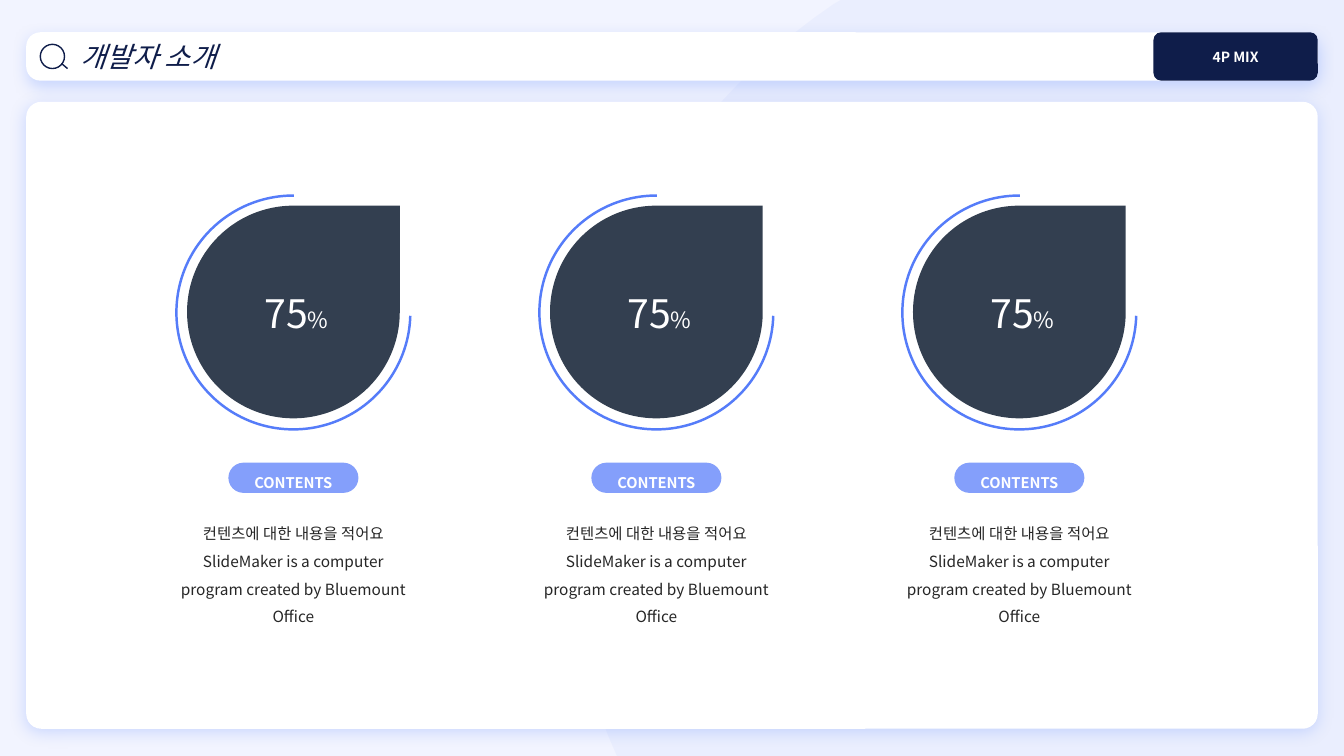
import lxml.etree
import pptx
import pptx.dml.color
import pptx.enum.shapes
import pptx.enum.text
import pptx.oxml
import pptx.oxml.ns
import pptx.util
from dataclasses import dataclass


@dataclass(frozen=True)
class Theme:
    font: str = "Noto Sans CJK KR"
    backdrop: str = "F2F4FF"
    glow: str = "8FACFC"
    navy: str = "0F1D4A"
    white: str = "FFFFFF"
    pill: str = "849FFB"
    ring: str = "557CF9"
    drop: str = "333F50"
    ink: str = "262626"
    title_size: float = 20
    badge_size: float = 10
    pill_size: float = 10.5
    body_size: float = 11
    number_size: float = 28
    percent_size: float = 16


theme = Theme()
Inches = pptx.util.Inches
Color = pptx.dml.color.RGBColor.from_string
Kind = pptx.enum.shapes.MSO_SHAPE
Align = pptx.enum.text.PP_ALIGN
Anchor = pptx.enum.text.MSO_ANCHOR
qn = pptx.oxml.ns.qn


def add_block(parent, kind, box, fill=None, line=None, width=1, adjust=()):
    block = parent.add_shape(kind, *map(Inches, box))
    block.shadow.inherit = False
    for index, value in enumerate(adjust):
        block.adjustments[index] = value
    if fill:
        block.fill.solid()
        block.fill.fore_color.rgb = Color(fill)
    else:
        block.fill.background()
    if line:
        block.line.color.rgb = Color(line)
        block.line.width = pptx.util.Pt(width)
    else:
        block.line.fill.background()
    return block


def format_text(frame, size, color, bold=False, italic=False, align=Align.CENTER,
                anchor=Anchor.MIDDLE, spacing=1.0):
    frame.word_wrap = True
    frame.vertical_anchor = anchor
    for para in frame.paragraphs:
        para.alignment = align
        para.line_spacing = spacing
        for span in para.runs:
            span.font.name = theme.font
            span.font.size = pptx.util.Pt(size)
            span.font.bold = bold
            span.font.italic = italic
            span.font.color.rgb = Color(color)
            east_asian = lxml.etree.SubElement(span.font._element, qn("a:ea"))
            east_asian.set("typeface", theme.font)


deck = pptx.Presentation()
deck.slide_width = Inches(13.33)
deck.slide_height = Inches(7.5)
page = deck.slides.add_slide(deck.slide_layouts[5])
page.background.fill.solid()
page.background.fill.fore_color.rgb = Color(theme.backdrop)

curves = [
    [(6.08, 7.41), (5.77, 6.69), (5.6, 5.89), (5.6, 5.06)],
    [(5.6, 5.06), (5.6, 2.97), (6.66, 1.13), (8.27, 0.04)],
]
outline = [(13.33, 0), (13.33, 7.5), (6.12, 7.5), (6.08, 7.41)]
for curve in curves:
    for step in range(1, 25):
        t = step / 24
        weights = ((1 - t) ** 3, 3 * t * (1 - t) ** 2, 3 * t**2 * (1 - t), t**3)
        outline.append(tuple(sum(w * point[axis] for w, point in zip(weights, curve))
                             for axis in (0, 1)))
builder = page.shapes.build_freeform(Inches(8.34), 0)
builder.add_line_segments([(Inches(x), Inches(y)) for x, y in outline])
wave = builder.convert_to_shape()
wave.shadow.inherit = False
wave.line.fill.background()
wave.fill.solid()
wave.fill.fore_color.rgb = Color(theme.glow)
wave_color = wave._element.spPr.find(qn("a:solidFill"))[0]
lxml.etree.SubElement(wave_color, qn("a:alpha")).set("val", "8000")

header_box = (0.26, 0.32, 12.81, 0.48)
for box, corner in ((header_box, 0.292), ((0.26, 1.01, 12.81, 6.22), 0.024)):
    card = add_block(page.shapes, Kind.ROUNDED_RECTANGLE, box, theme.white, adjust=[corner])
    effects = card._element.spPr.find(qn("a:effectLst"))
    effects.append(pptx.oxml.parse_xml(
        f'<a:outerShdw {pptx.oxml.ns.nsdecls("a")} blurRad="139700" dist="38100" '
        f'dir="5400000" algn="t" rotWithShape="0"><a:srgbClr val="{theme.glow}">'
        '<a:alpha val="40000"/></a:srgbClr></a:outerShdw>'))

title = page.shapes.title
title.left, title.top, title.width, title.height = map(Inches, header_box)
title.text_frame.text = "개발자 소개"
title.text_frame.margin_left = Inches(0.54)
format_text(title.text_frame, theme.title_size, theme.navy, italic=True, align=Align.LEFT)
page.shapes._spTree.append(title._element)

search = page.shapes.add_group_shape()
add_block(search.shapes, Kind.OVAL, (0.4, 0.44, 0.24, 0.24), line=theme.navy)
handle = search.shapes.add_connector(
    pptx.enum.shapes.MSO_CONNECTOR.STRAIGHT, *map(Inches, (0.61, 0.63, 0.67, 0.68)))
handle.line.color.rgb = Color(theme.navy)
handle.line.width = pptx.util.Pt(1)
lxml.etree.SubElement(handle._element.spPr, qn("a:effectLst"))

badge = add_block(page.shapes, Kind.ROUNDED_RECTANGLE, (11.44, 0.32, 1.63, 0.48),
                  theme.navy, adjust=[0.161])
badge.text_frame.text = "4P MIX"
format_text(badge.text_frame, theme.badge_size, theme.white, bold=True)

description = ("컨텐츠에 대한 내용을 적어요\n"
               "SlideMaker is a computer program created by Bluemount Office")
items = [("75", "CONTENTS", description)] * 3
for column, (number, label, detail) in enumerate(items):
    center = 2.91 + 3.6 * column

    body = page.shapes.add_textbox(*map(Inches, (center - 1.295, 5.06, 2.59, 1.2)))
    body.text_frame.text = detail
    format_text(body.text_frame, theme.body_size, theme.ink, spacing=1.5)

    pill = add_block(page.shapes, Kind.ROUNDED_RECTANGLE, (center - 0.645, 4.59, 1.29, 0.3),
                     theme.pill, adjust=[0.5])
    pill.text_frame.text = label
    pill.text_frame.margin_top = pill.text_frame.margin_bottom = 0
    format_text(pill.text_frame, theme.pill_size, theme.white, bold=True, spacing=1.5)

    add_block(page.shapes, Kind.ARC, (center - 1.16, 1.94, 2.32, 2.32),
              line=theme.ring, width=1.75, adjust=[0.974, 162.13])
    add_block(page.shapes, Kind.TEAR, (center - 1.055, 2.04, 2.11, 2.11), theme.drop)

    figure = page.shapes.add_textbox(*map(Inches, (center - 0.6, 2.82, 1.26, 0.57)))
    figure.left = Inches(center - 0.6 - 0.0)
    figure.text_frame.text = number
    figure.text_frame.paragraphs[0].add_run().text = "%"
    format_text(figure.text_frame, theme.number_size, theme.white, anchor=Anchor.TOP)
    figure.text_frame.paragraphs[0].runs[1].font.size = pptx.util.Pt(theme.percent_size)

deck.save("out.pptx")
